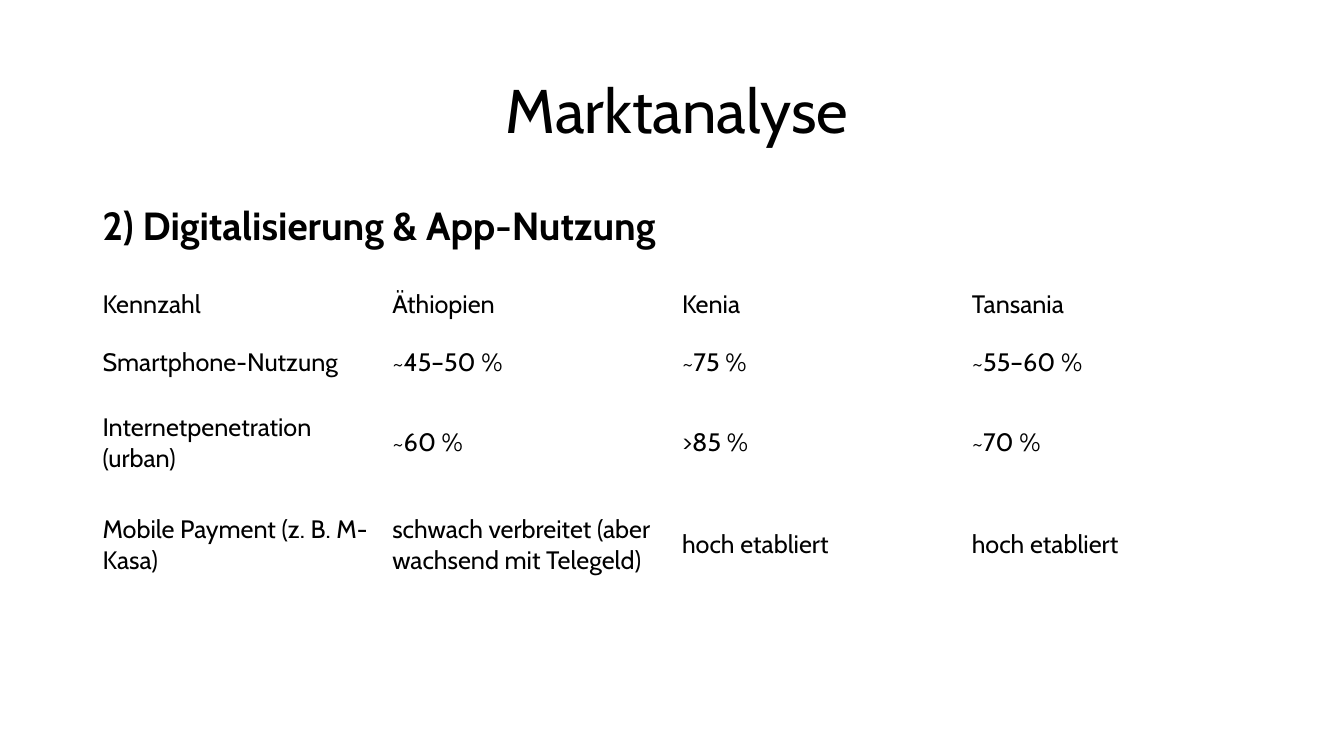
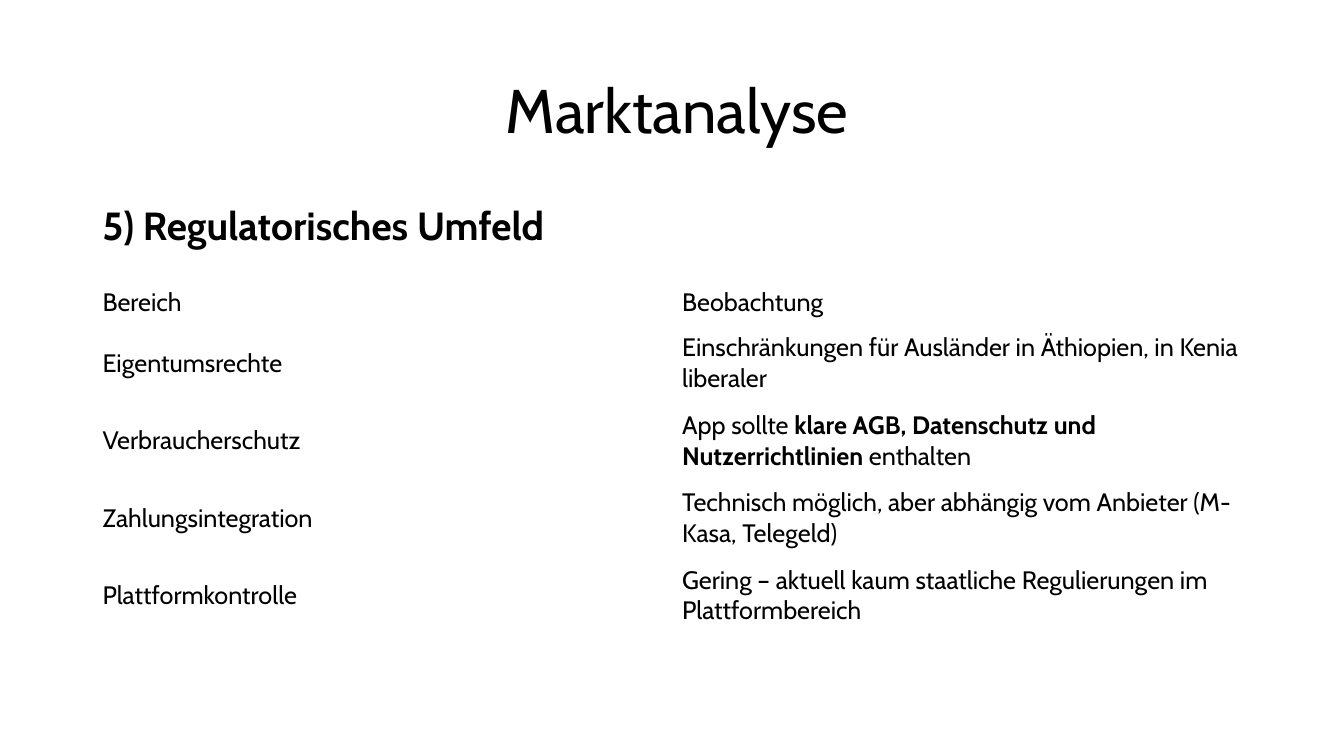
from pptx import Presentation
from pptx.dml.color import RGBColor
from pptx.enum import text
from pptx.util import Cm, Pt

BLACK = RGBColor(0, 0, 0)
FONT = "Cabin"
LEFT, WIDTH = Cm(2.33), Cm(29.21)
TITLE_ONLY = 5

DIGITAL_ROWS = [
    ["Kennzahl", "Äthiopien", "Kenia", "Tansania"],
    ["Smartphone-Nutzung", "~45–50 %", "~75 %", "~55–60 %"],
    ["Internetpenetration (urban)", "~60 %", ">85 %", "~70 %"],
    ["Mobile Payment (z. B. M-Kasa)",
     "schwach verbreitet (aber wachsend mit Telegeld)",
     "hoch etabliert", "hoch etabliert"],
]
REGULATION_ROWS = [
    ["Bereich", "Beobachtung"],
    ["Eigentumsrechte",
     "Einschränkungen für Ausländer in Äthiopien, in Kenia liberaler"],
    ["Verbraucherschutz",
     "App sollte **klare AGB, Datenschutz und Nutzerrichtlinien** enthalten"],
    ["Zahlungsintegration",
     "Technisch möglich, aber abhängig vom Anbieter (M-Kasa, Telegeld)"],
    ["Plattformkontrolle",
     "Gering – aktuell kaum staatliche Regulierungen im Plattformbereich"],
]


def fill_paragraph(paragraph, content, size, bold=False):
    """Write content in the shared font; parts between ** marks are bold."""
    for index, part in enumerate(content.split("**")):
        run = paragraph.add_run()
        run.text = part
        run.font.name = FONT
        run.font.size = Pt(size)
        run.font.bold = bold or index % 2 == 1
        run.font.color.rgb = BLACK
    paragraph.alignment = text.PP_ALIGN.LEFT


def place(shape, top, height):
    shape.left, shape.top, shape.width, shape.height = LEFT, top, WIDTH, height


def add_title(slide, content):
    title = slide.shapes.title
    place(title, Cm(1.01), Cm(3.68))
    frame = title.text_frame
    frame.vertical_anchor = text.MSO_ANCHOR.MIDDLE
    frame.margin_left = Cm(10.41)
    fill_paragraph(frame.paragraphs[0], content, 44)
    frame.paragraphs[0].line_spacing = 0.9


def add_heading(slide, content):
    box = slide.shapes.add_textbox(LEFT, Cm(5.08), WIDTH, Cm(1.4))
    box.text_frame.word_wrap = True
    paragraph = box.text_frame.paragraphs[0]
    fill_paragraph(paragraph, content, 28, bold=True)
    paragraph.line_spacing = 0.9


def add_plain_table(slide, rows, top, row_heights):
    column_count = len(rows[0])
    table = slide.shapes.add_table(
        len(rows), column_count, LEFT, top, WIDTH, sum(row_heights)).table
    table.first_row = table.horz_banding = False
    for column in table.columns:
        column.width = WIDTH // column_count
    for row, height, contents in zip(table.rows, row_heights, rows):
        row.height = height
        for cell, content in zip(row.cells, contents):
            cell.fill.background()
            cell.vertical_anchor = text.MSO_ANCHOR.MIDDLE
            fill_paragraph(cell.text_frame.paragraphs[0], content, 18)


def add_market_slide(presentation, heading, rows, top, row_heights):
    slide = presentation.slides.add_slide(
        presentation.slide_layouts[TITLE_ONLY])
    add_title(slide, "Marktanalyse")
    add_heading(slide, heading)
    add_plain_table(slide, rows, top, row_heights)


def main():
    presentation = Presentation()
    presentation.slide_width, presentation.slide_height = Cm(33.87), Cm(19.05)
    add_market_slide(presentation, "2) Digitalisierung & App-Nutzung",
                     DIGITAL_ROWS, Cm(6.93), [Cm(1.47)] * 2 + [Cm(2.57)] * 2)
    add_market_slide(presentation, "5) Regulatorisches Umfeld",
                     REGULATION_ROWS, Cm(7.06), [Cm(1.12)] + [Cm(1.95)] * 4)
    presentation.save("out.pptx")


if __name__ == "__main__":
    main()
